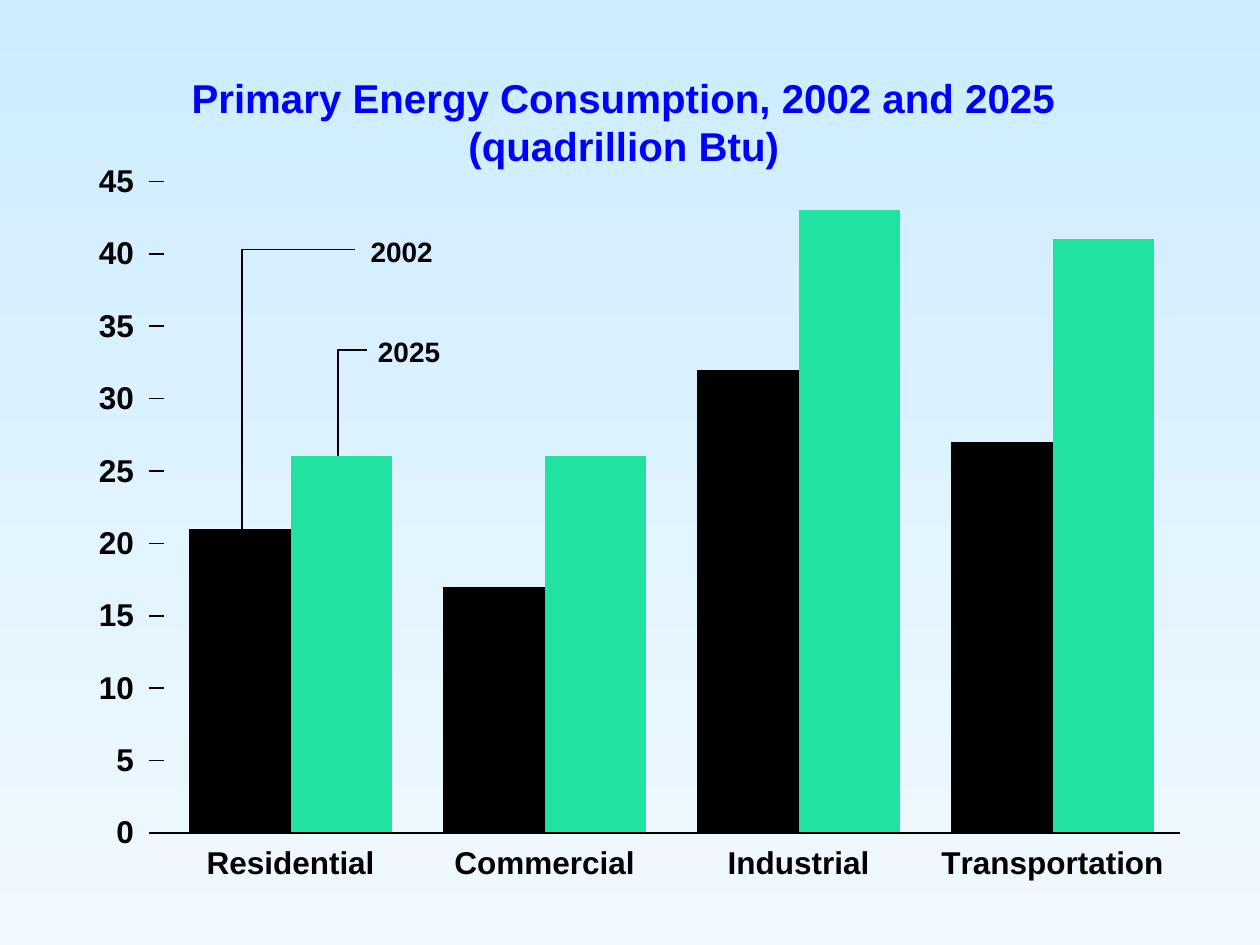
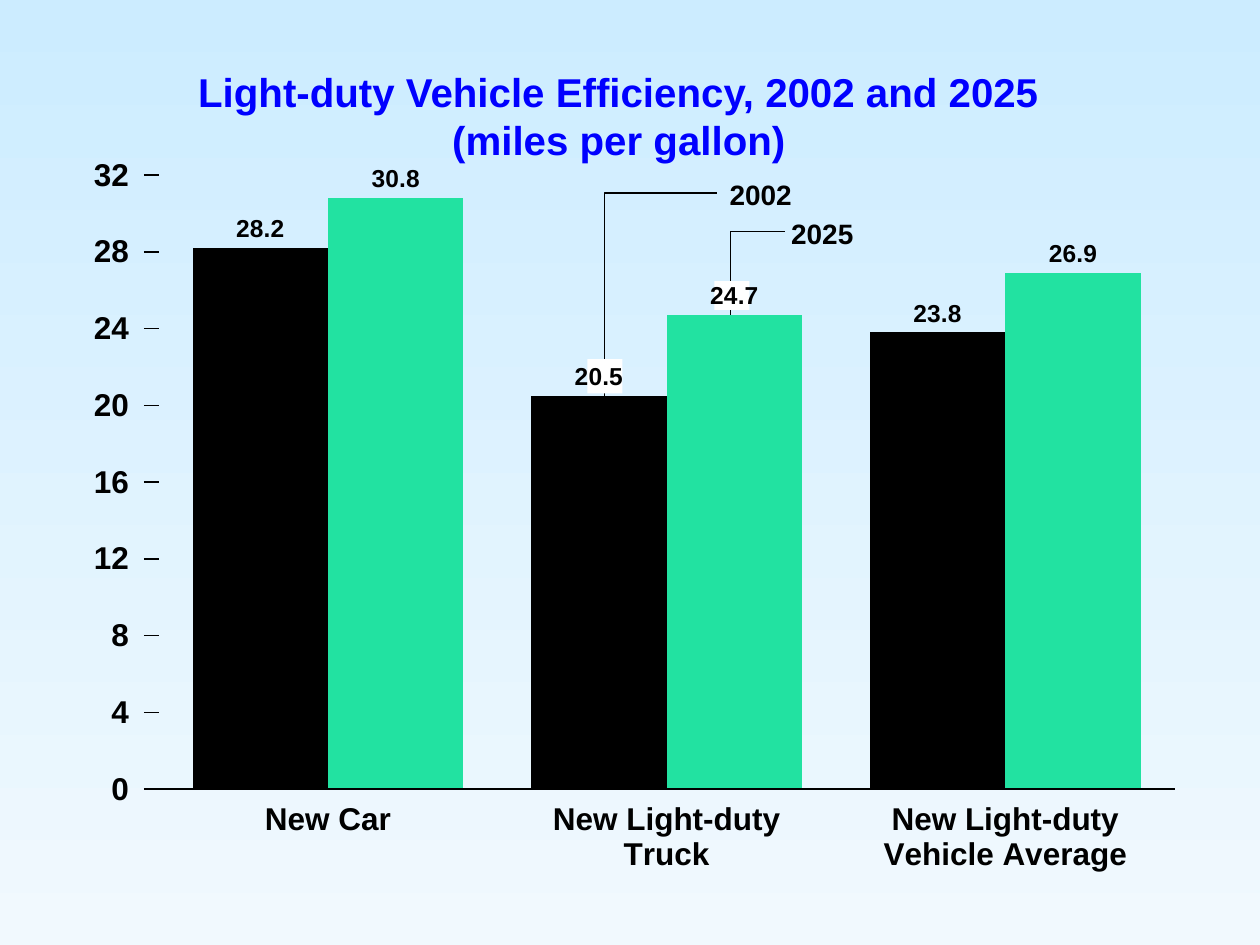
from dataclasses import dataclass

from lxml import etree
from pptx import Presentation
from pptx.chart.data import CategoryChartData
from pptx.dml.color import RGBColor
from pptx.enum.chart import XL_CHART_TYPE, XL_LABEL_POSITION, XL_TICK_MARK
from pptx.enum.shapes import MSO_CONNECTOR, MSO_SHAPE
from pptx.enum.text import PP_ALIGN
from pptx.oxml import parse_xml
from pptx.oxml.ns import nsdecls, qn
from pptx.util import Cm, Pt

SKY = RGBColor(0xCC, 0xEC, 0xFF)
PALE = RGBColor(0xF1, 0xF9, 0xFE)
BLACK = RGBColor(0, 0, 0)
GREEN = RGBColor(0x22, 0xE2, 0xA1)
BLUE = RGBColor(0, 0, 0xFF)
WHITE = RGBColor(0xFF, 0xFF, 0xFF)

CLUSTERED = XL_CHART_TYPE.COLUMN_CLUSTERED
OUTSIDE_END = XL_LABEL_POSITION.OUTSIDE_END
TICK_OUTSIDE = XL_TICK_MARK.OUTSIDE
STRAIGHT = MSO_CONNECTOR.STRAIGHT
RECTANGLE = MSO_SHAPE.RECTANGLE
LEFT, CENTER = PP_ALIGN.LEFT, PP_ALIGN.CENTER

# Chart frame and plot sizes, in centimetres
FRAME_LEFT, FRAME_TOP, FRAME_WIDTH, FRAME_HEIGHT = 1.2, 2.5, 23.2, 15.8
PLOT_WIDTH = 20.48
TICK_LENGTH = 0.3
TITLE_WIDTH = 20
NO_FILL = f"<c:spPr {nsdecls('c', 'a')}><a:noFill/><a:ln><a:noFill/></a:ln></c:spPr>"


@dataclass
class Plot:
    """Inner plot area in centimetres, with its value scale."""
    left: float
    top: float
    height: float
    maximum: int
    step: int


class Deck:
    font_name = "Arial"
    line_width = Pt(0.88)

    def __init__(self):
        self.presentation = Presentation()
        self.presentation.slide_width = Cm(25.4)
        self.presentation.slide_height = Cm(19.05)
        self.slide = None
        # Shared gradient background
        fill = self.presentation.slide_master.background.fill
        fill.gradient()
        fill.gradient_angle = 270
        for stop, color in zip(fill.gradient_stops, (SKY, PALE)):
            stop.color.rgb = color

    def new_slide(self):
        self.slide = self.presentation.slides.add_slide(self.presentation.slide_layouts[6])

    def style_font(self, font, size, color=BLACK):
        font.name, font.size, font.bold = self.font_name, Pt(size), True
        font.color.rgb = color

    def text(self, text, left, top, width, height, size=16, color=BLACK, align=LEFT, wrap=False):
        frame = self.slide.shapes.add_textbox(Cm(left), Cm(top), Cm(width), Cm(height)).text_frame
        frame.margin_left = frame.margin_right = frame.margin_top = frame.margin_bottom = 0
        frame.word_wrap = wrap
        for index, line in enumerate(text.split("\n")):
            paragraph = frame.add_paragraph() if index else frame.paragraphs[0]
            paragraph.alignment = align
            run = paragraph.add_run()
            run.text = line
            self.style_font(run.font, size, color)

    def title(self, text, plot):
        center = plot.left + 9.28
        self.text(text, center - TITLE_WIDTH / 2, plot.top - 2.18, TITLE_WIDTH, 1.93,
                  size=23, color=BLUE, align=CENTER, wrap=True)

    def line(self, left, right, top):
        connector = self.slide.shapes.add_connector(STRAIGHT, Cm(left), Cm(top), Cm(right), Cm(top))
        connector.line.color.rgb = BLACK
        connector.line.width = self.line_width
        etree.SubElement(connector.element.spPr, qn("a:effectLst"))

    def mask(self, left, top, width, height):
        shape = self.slide.shapes.add_shape(RECTANGLE, Cm(left), Cm(top), Cm(width), Cm(height))
        shape.shadow.inherit = False
        shape.fill.solid()
        shape.fill.fore_color.rgb = WHITE
        shape.line.fill.background()

    def callout(self, label, foot_x, foot_y, corner_y, end_x, label_x):
        builder = self.slide.shapes.build_freeform(Cm(foot_x), Cm(foot_y))
        builder.add_line_segments(
            [(Cm(foot_x), Cm(corner_y)), (Cm(end_x), Cm(corner_y))], close=False)
        shape = builder.convert_to_shape()
        shape.shadow.inherit = False
        shape.fill.background()
        shape.line.color.rgb = BLACK
        shape.line.width = self.line_width
        self.text(label, label_x, corner_y - 0.31, 1.6, 0.69)

    def chart(self, categories, series, plot, number_format="0", labels=False):
        data = CategoryChartData(number_format=number_format)
        data.categories = categories
        for name, values in series.items():
            data.add_series(name, values)
        chart = self.slide.shapes.add_chart(
            CLUSTERED, Cm(FRAME_LEFT), Cm(FRAME_TOP), Cm(FRAME_WIDTH), Cm(FRAME_HEIGHT), data).chart
        chart.has_legend = chart.has_title = False
        self.style_font(chart.font, 18)

        # Bars
        bars = chart.plots[0]
        bars.gap_width, bars.overlap, bars.vary_by_categories = 50, 0, False
        for bar_series, color in zip(bars.series, (BLACK, GREEN)):
            bar_series.format.fill.solid()
            bar_series.format.fill.fore_color.rgb = color
            bar_series.invert_if_negative = False
        if labels:
            bars.has_data_labels = True
            data_labels = bars.data_labels
            data_labels.show_value = True
            data_labels.number_format = number_format
            data_labels.number_format_is_linked = False
            data_labels.position = OUTSIDE_END
            self.style_font(data_labels.font, 14)

        # Axes carry the labels; the visible ticks are separate lines
        for axis in (chart.category_axis, chart.value_axis):
            axis.has_major_gridlines = False
            axis.major_tick_mark = TICK_OUTSIDE
            axis.format.line.fill.background()
            self.style_font(axis.tick_labels.font, 18)
        axis = chart.value_axis
        axis.minimum_scale, axis.maximum_scale, axis.major_unit = 0, plot.maximum, plot.step
        axis.tick_labels.number_format = "0_0"
        axis.tick_labels.number_format_is_linked = False

        self.fix_plot_area(chart, plot)
        self.ticks(plot)

    def fix_plot_area(self, chart, plot):
        chart_element = chart.element.find(qn("c:chart"))
        chart_element.addnext(parse_xml(NO_FILL))
        area = chart_element.find(qn("c:plotArea"))
        area.append(parse_xml(NO_FILL))
        for old_layout in area.findall(qn("c:layout")):
            area.remove(old_layout)
        layout = parse_xml(f"<c:layout {nsdecls('c')}><c:manualLayout/></c:layout>")
        area.insert(0, layout)
        settings = {
            "layoutTarget": "inner", "xMode": "edge", "yMode": "edge",
            "x": (plot.left - FRAME_LEFT) / FRAME_WIDTH,
            "y": (plot.top - FRAME_TOP) / FRAME_HEIGHT,
            "w": PLOT_WIDTH / FRAME_WIDTH,
            "h": plot.height / FRAME_HEIGHT,
        }
        for name, value in settings.items():
            etree.SubElement(layout[0], qn(f"c:{name}")).set("val", str(value))

    def ticks(self, plot):
        bottom = plot.top + plot.height
        for value in range(0, plot.maximum + 1, plot.step):
            self.line(plot.left - TICK_LENGTH, plot.left,
                      bottom - plot.height * value / plot.maximum)
        self.line(plot.left, plot.left + PLOT_WIDTH, bottom)


def energy_slide(deck):
    plot = Plot(left=3.3, top=3.66, height=13.13, maximum=45, step=5)
    deck.new_slide()
    deck.callout("2025", 6.81, 11.96, 7.06, 7.39, 7.62)
    deck.callout("2002", 4.88, 13.28, 5.03, 7.16, 7.47)
    deck.chart(
        ["Residential", "Commercial", "Industrial", "Transportation"],
        {"2002": (21, 17, 32, 27), "2025": (26, 26, 43, 41)},
        plot)
    deck.title("Primary Energy Consumption, 2002 and 2025\n(quadrillion Btu)", plot)


def vehicle_slide(deck):
    plot = Plot(left=3.2, top=3.53, height=12.38, maximum=32, step=4)
    deck.new_slide()
    deck.callout("2002", 12.19, 12.14, 3.89, 14.45, 14.71)
    deck.callout("2025", 14.73, 10.44, 4.67, 15.82, 15.95)
    # White patches behind the values that the callout lines cross
    deck.mask(11.84, 7.24, 0.71, 0.69)
    deck.mask(14.4, 5.67, 0.71, 0.58)
    deck.chart(
        ["New Car", "New Light-duty\nTruck", "New Light-duty\nVehicle Average"],
        {"2002": (28.2, 20.5, 23.8), "2025": (30.8, 24.7, 26.9)},
        plot, number_format="0.0", labels=True)
    deck.title("Light-duty Vehicle Efficiency, 2002 and 2025\n(miles per gallon)", plot)


def main():
    deck = Deck()
    energy_slide(deck)
    vehicle_slide(deck)
    deck.presentation.save("out.pptx")


if __name__ == "__main__":
    main()
